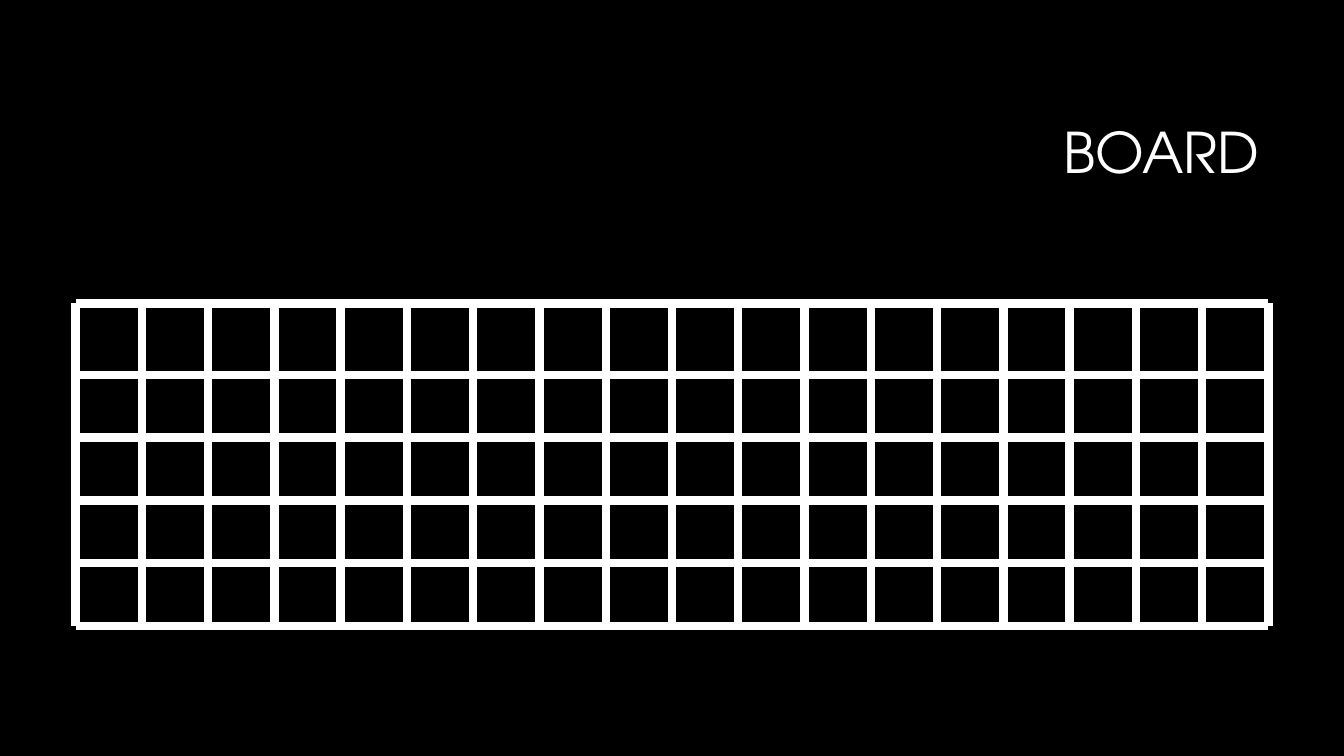
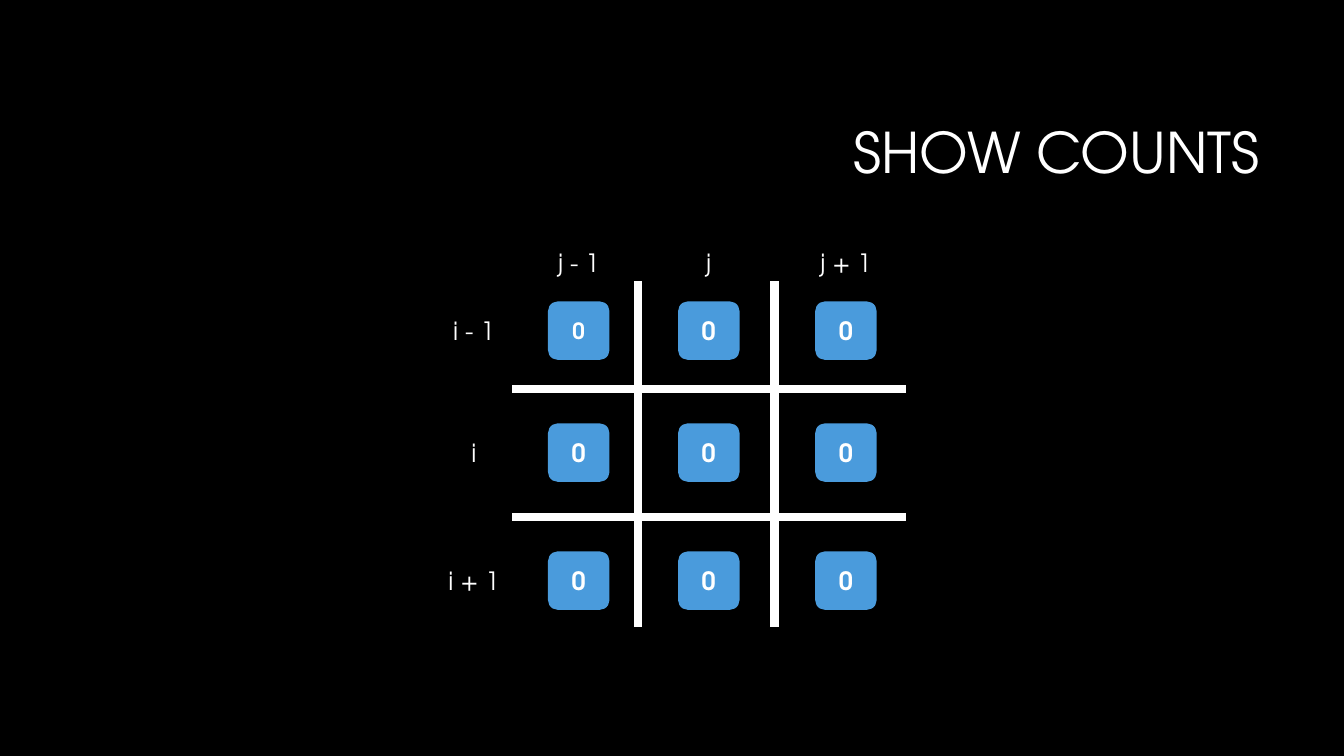
from dataclasses import dataclass

from lxml import etree
from pptx import Presentation
from pptx.dml.color import RGBColor
from pptx.enum.shapes import MSO_CONNECTOR, MSO_SHAPE
from pptx.enum.text import MSO_ANCHOR, PP_ALIGN
from pptx.oxml.ns import qn
from pptx.util import Inches, Pt

# Content
BOARD_TITLE = "BOARD"
COUNTS_TITLE = "SHOW COUNTS"
COLUMN_LABELS = ["j - 1", "j", "j + 1"]
ROW_LABELS = ["i - 1", "i", "i + 1"]
COUNTS = [["0", "0", "0"], ["0", "0", "0"], ["0", "0", "0"]]


@dataclass(frozen=True)
class Theme:
    background: RGBColor = RGBColor(0x00, 0x00, 0x00)
    foreground: RGBColor = RGBColor(0xFF, 0xFF, 0xFF)
    tile: RGBColor = RGBColor(0x4A, 0x9B, 0xDC)
    font: str = "TeX Gyre Adventor"
    title_size: int = 40
    text_size: int = 18
    first_count_size: int = 16
    line_width: int = 6


THEME = Theme()

# Board geometry, in inches
BOARD_LEFT, BOARD_RIGHT = 0.75, 12.58
BOARD_TOP, BOARD_BOTTOM = 3.01, 6.21
BOARD_COLUMNS, BOARD_ROWS = 18, 5
FIRST_ROW_BOTTOM = 3.72

# Counts geometry, in inches
COLUMN_CENTERS = [5.74, 7.03, 8.39]
ROW_CENTERS = [3.28, 4.49, 5.76]
COUNT_VERTICALS, COUNT_HORIZONTALS = [6.33, 7.68], [3.86, 5.13]
COUNT_LEFT, COUNT_RIGHT = 5.08, 8.99
COUNT_TOP, COUNT_BOTTOM = 2.79, 6.22
TILE_SIZE = (0.61, 0.58)
LABEL_SIZE = (0.73, 0.4)
ROW_LABEL_CENTER, COLUMN_LABEL_CENTER = 4.7, 2.6


def prepare_layout(presentation):
    """Set the shared background and title place; return the title layout."""
    fill = presentation.slide_master.background.fill
    fill.solid()
    fill.fore_color.rgb = THEME.background
    layout = presentation.slide_layouts.get_by_name("Title Only")
    for placeholder in layout.placeholders:
        if placeholder.placeholder_format.idx == 0:
            placeholder.left, placeholder.top = Inches(3.17), Inches(0.84)
            placeholder.width, placeholder.height = Inches(9.42), Inches(1.41)
            placeholder.text_frame.vertical_anchor = MSO_ANCHOR.MIDDLE
    return layout


def write(shape, text, size, alignment=PP_ALIGN.CENTER, bold=False):
    shape.text_frame.word_wrap = True
    paragraph = shape.text_frame.paragraphs[0]
    paragraph.alignment = alignment
    run = paragraph.add_run()
    run.text = text
    run.font.name = THEME.font
    run.font.size = Pt(size)
    run.font.bold = bold
    run.font.color.rgb = THEME.foreground
    return paragraph


def add_titled_slide(presentation, layout, title):
    slide = presentation.slides.add_slide(layout)
    paragraph = write(slide.shapes.title, title, THEME.title_size, PP_ALIGN.RIGHT)
    paragraph.line_spacing = 0.9
    return slide


def centered_box(center_x, center_y, size):
    width, height = size
    return [Inches(value) for value in
            (center_x - width / 2, center_y - height / 2, width, height)]


def add_line(shapes, *ends):
    line = shapes.add_connector(MSO_CONNECTOR.STRAIGHT, *map(Inches, ends))
    line.line.color.rgb = THEME.foreground
    line.line.width = Pt(THEME.line_width)
    etree.SubElement(line.element.spPr, qn("a:effectLst"))


def add_grid(shapes, verticals, horizontals, left, top, right, bottom):
    for x in verticals:
        add_line(shapes, x, top, x, bottom)
    for y in horizontals:
        add_line(shapes, left, y, right, y)


def add_label(shapes, text, center_x, center_y):
    label = shapes.add_textbox(*centered_box(center_x, center_y, LABEL_SIZE))
    write(label, text, THEME.text_size)


def add_tile(shapes, text, center_x, center_y, size):
    tile = shapes.add_shape(MSO_SHAPE.ROUNDED_RECTANGLE,
                            *centered_box(center_x, center_y, TILE_SIZE))
    tile.shadow.inherit = False
    tile.fill.solid()
    tile.fill.fore_color.rgb = THEME.tile
    tile.line.fill.background()
    tile.text_frame.vertical_anchor = MSO_ANCHOR.MIDDLE
    write(tile, text, size, bold=True)


def build_board(presentation, layout):
    slide = add_titled_slide(presentation, layout, BOARD_TITLE)
    column_step = (BOARD_RIGHT - BOARD_LEFT) / BOARD_COLUMNS
    verticals = [BOARD_LEFT + column_step * index for index in range(BOARD_COLUMNS + 1)]
    # The first row is taller; the others share the rest equally
    row_step = (BOARD_BOTTOM - FIRST_ROW_BOTTOM) / (BOARD_ROWS - 1)
    horizontals = [BOARD_TOP] + [FIRST_ROW_BOTTOM + row_step * index
                                 for index in range(BOARD_ROWS)]
    add_grid(slide.shapes, verticals, horizontals,
             BOARD_LEFT, BOARD_TOP, BOARD_RIGHT, BOARD_BOTTOM)


def build_counts(presentation, layout):
    slide = add_titled_slide(presentation, layout, COUNTS_TITLE)
    shapes = slide.shapes.add_group_shape().shapes
    add_grid(shapes, COUNT_VERTICALS, COUNT_HORIZONTALS,
             COUNT_LEFT, COUNT_TOP, COUNT_RIGHT, COUNT_BOTTOM)

    # Count tiles
    for row, (center_y, counts) in enumerate(zip(ROW_CENTERS, COUNTS)):
        for column, (center_x, count) in enumerate(zip(COLUMN_CENTERS, counts)):
            is_first = row == column == 0
            size = THEME.first_count_size if is_first else THEME.text_size
            add_tile(shapes, count, center_x, center_y, size)

    # Row and column labels
    for text, center_y in zip(ROW_LABELS, ROW_CENTERS):
        add_label(shapes, text, ROW_LABEL_CENTER, center_y)
    for text, center_x in zip(COLUMN_LABELS, COLUMN_CENTERS):
        add_label(shapes, text, center_x, COLUMN_LABEL_CENTER)


def main():
    presentation = Presentation()
    presentation.slide_width = Inches(13.33)
    presentation.slide_height = Inches(7.5)
    layout = prepare_layout(presentation)
    build_board(presentation, layout)
    build_counts(presentation, layout)
    presentation.save("out.pptx")


if __name__ == "__main__":
    main()
